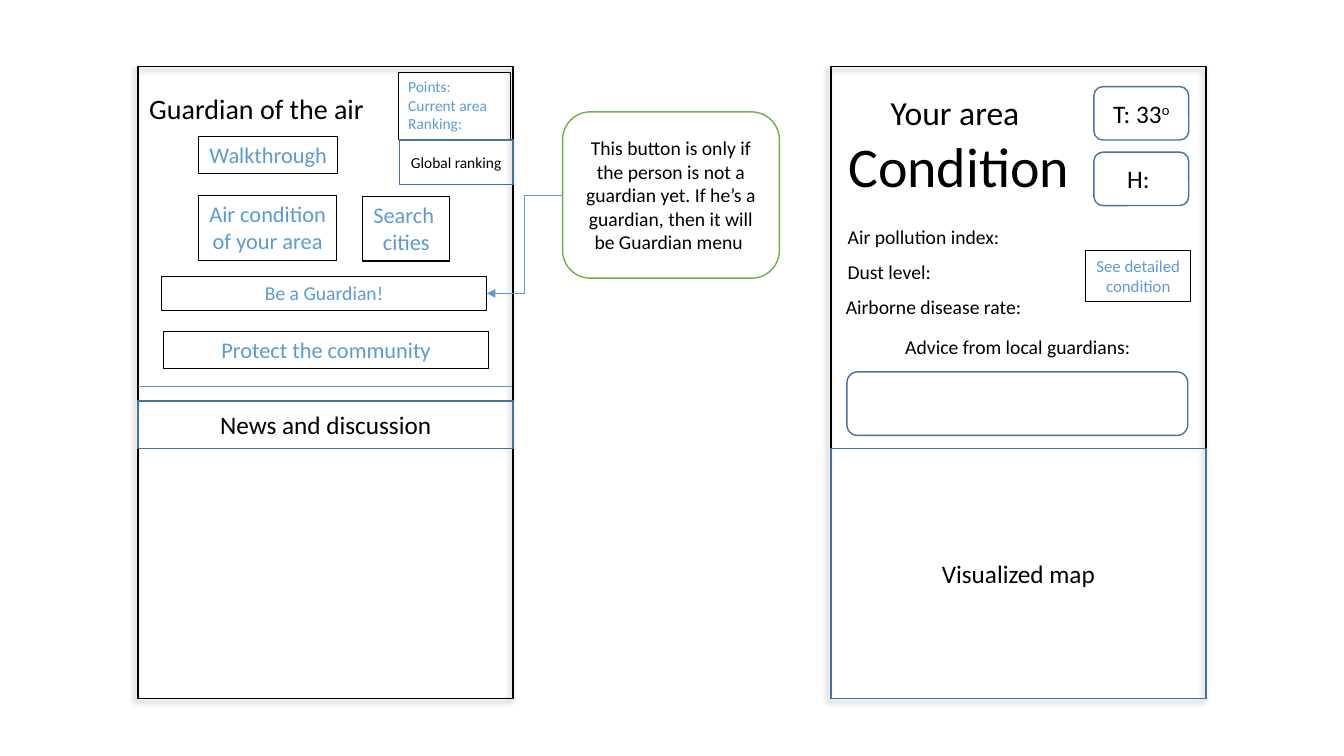
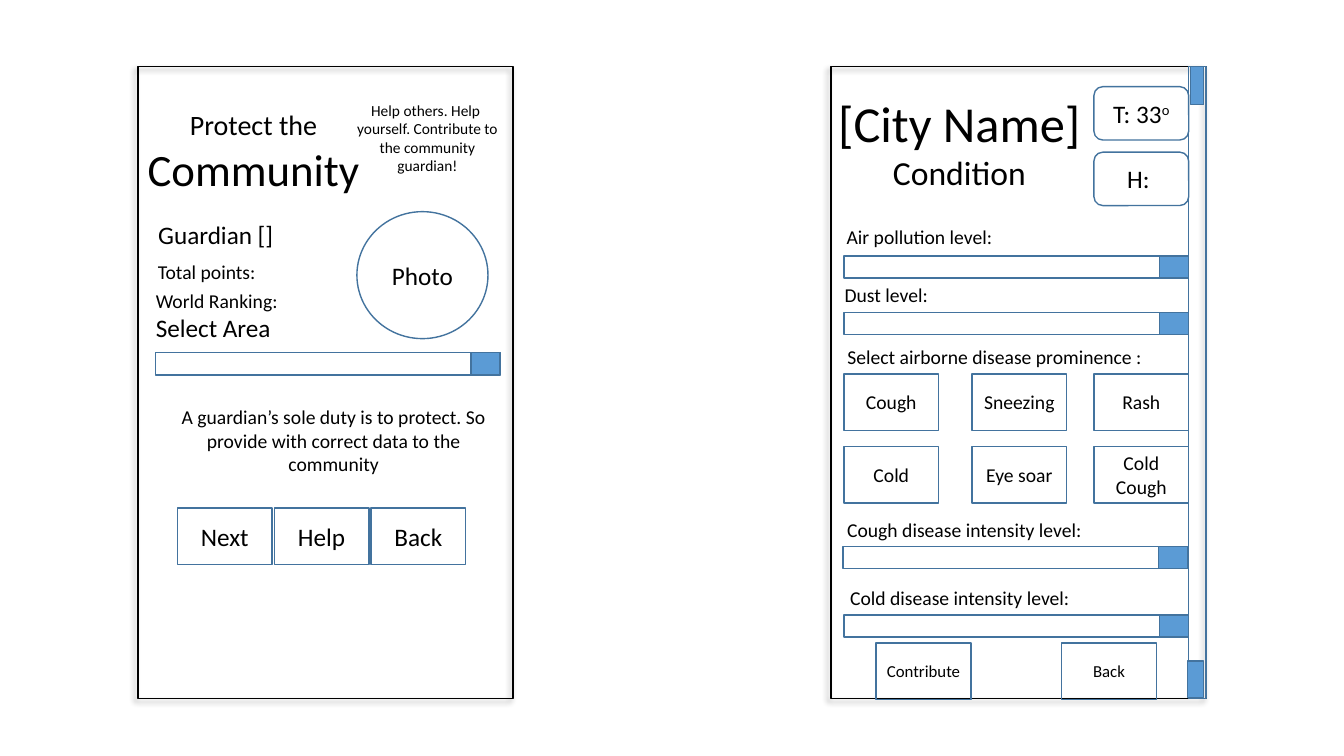
from lxml.etree import SubElement
from pptx import Presentation
from pptx.dml.color import RGBColor
from pptx.enum.shapes import MSO_CONNECTOR, MSO_SHAPE
from pptx.enum.text import MSO_ANCHOR, MSO_AUTO_SIZE, PP_ALIGN
from pptx.oxml.ns import qn
from pptx.util import Emu, Pt

PX = 9144  # EMU; 100 px make one inch
FONT = "Calibri"
COLORS = {"black": "000000", "white": "FFFFFF", "blue": "5B9BD5",
          "border": "43739E", "green": "70AD47"}

RECT, ROUND = MSO_SHAPE.RECTANGLE, MSO_SHAPE.ROUNDED_RECTANGLE
PANEL = dict(shape=RECT, line="border", color="black", middle=True)
LINK = dict(shape=RECT, line="black", width=0.75, color="blue", grow=True)
STYLES = {
    "frame": dict(shape=RECT, line="black", color="black"),
    "panel": PANEL,
    "rounded": {**PANEL, "shape": ROUND},
    "circle": {**PANEL, "shape": MSO_SHAPE.OVAL},
    "callout": {**PANEL, "shape": ROUND, "line": "green", "fill": "white"},
    "track": {**PANEL, "fill": "white"},
    "thumb": {**PANEL, "fill": "blue"},
    "link": {**LINK, "wrap": False},
    "wide link": LINK,
    "stats": {**LINK, "align": PP_ALIGN.LEFT},
    "label": dict(color="black", grow=True, wrap=False),
    "note": dict(color="black", grow=True),
}

# Items: style, (left, top, width, height), text, size (one per paragraph if a tuple)
SCREENS = [("frame", (x, 66, 372, 627)) for x in (137, 824)]
TEMPERATURE = ("rounded", (1085, 86, 94, 53), "T: 33", 18)
HUMIDITY = ("rounded", (1085, 151, 94, 53), "H: ", 18)

HOME = [
    ("link", (197, 194, 137, 64), "Air condition\nof your area", 16),
    ("link", (360, 195, 86, 64), "Search \ncities", 16),
    ("panel", (137, 398, 372, 47), "News and discussion", 18),
    ("label", (137, 86, 235, 44), "Guardian of the air", 20),
    ("wide link", (162, 329, 323, 37), "Protect the community", 16),
    ("stats", (395, 72, 111, 66), "Points:\nCurrent area\nRanking:", 11),
    ("panel", (396, 139, 113, 44), "Global ranking", 11),
    ("link", (197, 135, 138, 37), "Walkthrough", 16),
]
HOME_RULES = (383, 398)
BE_GUARDIAN = ("wide link", (160, 274, 323, 34), "Be a Guardian!", 14)
GUARDIAN_CALLOUT = (
    "callout", (558, 111, 215, 165),
    "This button is only if the person is not a guardian yet. "
    "If he’s a guardian, then it will be Guardian menu ", 14)

AREA = [
    ("label", (830, 86, 242, 118), "Your area \nCondition", (24, 40)),
    ("panel", (824, 445, 372, 248), "Visualized map", 18),
    ("label", (830, 218, 172, 34), "Air pollution index:", 14),
    ("label", (830, 253, 104, 34), "Dust level:", 14),
    ("label", (828, 288, 196, 34), "Airborne disease rate:", 14),
    ("rounded", (840, 369, 338, 63)),
    ("label", (887, 327, 245, 34), "Advice from local guardians:", 14),
    ("link", (1077, 249, 104, 50), "See detailed\ncondition", 12),
]

COMMUNITY = [
    ("label", (135, 102, 233, 98), "Protect the\nCommunity", (20, 32)),
    ("note", (339, 95, 170, 84),
     "Help others. Help \nyourself. Contribute to the community guardian!", 11),
    ("label", (146, 213, 136, 40), "Guardian []", 18),
    ("label", (146, 253, 118, 34), "Total points:", 14),
    ("label", (144, 282, 142, 34), "World Ranking:", 14),
    ("label", (144, 305, 135, 40), "Select Area", 18),
    ("circle", (354, 210, 130, 126), "Photo", 18),
    ("note", (166, 397, 330, 81),
     "A guardian’s sole duty is to protect. So\n"
     "provide with correct data to the community", 14),
]
CITY = [
    ("label", (820, 86, 263, 111), "[City Name]\nCondition", (36, 24)),
    ("label", (829, 218, 166, 34), "Air pollution level:", 14),
    ("label", (827, 276, 104, 34), "Dust level:", 14),
    ("label", (829, 337, 315, 34), "Select airborne disease prominence :", 14),
    ("label", (829, 509, 255, 34), "Cough disease intensity level:", 14),
    ("label", (832, 576, 240, 34), "Cold disease intensity level:", 14),
]
SCROLLBAR = [
    ("panel", (1179, 66, 17, 627)),
    ("thumb", (1181, 66, 13, 38)),
    ("thumb", (1178, 656, 16, 36)),
]
SLIDERS = [(154, 350), (837, 254), (837, 310), (836, 542), (837, 610)]

BUTTON_SIZE = (94, 56)
NAVIGATION = ("Next", "Help", "Back")
SYMPTOMS = (("Cough", "Sneezing", "Rash"), ("Cold", "Eye soar", "Cold Cough"))
SYMPTOM_LEFTS, SYMPTOM_TOPS = (837, 964, 1085), (371, 443)
BUTTONS = (
    [(176 + 96 * i, 504, name, 18) for i, name in enumerate(NAVIGATION)]
    + [(x, y, name, 14) for y, row in zip(SYMPTOM_TOPS, SYMPTOMS)
       for x, name in zip(SYMPTOM_LEFTS, row)]
    + [(869, 638, "Contribute", 12), (1053, 638, "Back", 12)])


def px(*values):
    return [Emu(v * PX) for v in values]


def rgb(name):
    return RGBColor.from_string(COLORS[name])


def format_run(r, size, color):
    r.font.name, r.font.size = FONT, Pt(size)
    r.font.color.rgb = rgb(color)


def add_item(shapes, style_name, box, text="", size=18):
    style = STYLES[style_name]
    if "shape" in style:
        sp = shapes.add_shape(style["shape"], *px(*box))
        sp.shadow.inherit = False
        sp.line.color.rgb = rgb(style["line"])
        sp.line.width = Pt(style.get("width", 1))
        if "fill" in style:
            sp.fill.solid()
            sp.fill.fore_color.rgb = rgb(style["fill"])
        else:
            sp.fill.background()
    else:
        sp = shapes.add_textbox(*px(*box))
    if not text:
        return sp
    tf = sp.text_frame
    tf.text = text
    tf.word_wrap = style.get("wrap", True)
    tf.vertical_anchor = MSO_ANCHOR.MIDDLE if style.get("middle") else MSO_ANCHOR.TOP
    if style.get("grow"):
        tf.auto_size = MSO_AUTO_SIZE.SHAPE_TO_FIT_TEXT
    sizes = size if isinstance(size, tuple) else [size] * len(tf.paragraphs)
    for p, paragraph_size in zip(tf.paragraphs, sizes):
        p.alignment = style.get("align", PP_ALIGN.CENTER)
        for r in p.runs:
            format_run(r, paragraph_size, style["color"])
    return sp


def add_items(s, items):
    for item in items:
        add_item(s.shapes, *item)


def add_screens(s):
    """Add the two phone screens and the gauges that both slides share."""
    for frame in SCREENS:
        sp = add_item(s.shapes, *frame)
        effects = sp._element.spPr.find(qn("a:effectLst"))
        shadow = SubElement(effects, qn("a:outerShdw"), blurRad="50800",
                            dist="38100", dir="8100000", algn="tr", rotWithShape="0")
        color = SubElement(shadow, qn("a:srgbClr"), val=COLORS["black"])
        SubElement(color, qn("a:alpha"), val="40000")
    gauge = add_item(s.shapes, *TEMPERATURE)
    degree = gauge.text_frame.paragraphs[0].add_run()
    degree.text = "o"
    format_run(degree, 18, "black")
    degree._r.get_or_add_rPr().set("baseline", "30000")
    add_item(s.shapes, *HUMIDITY)


def add_line(s, kind, start, end):
    line = s.shapes.add_connector(kind, *px(*start, *end))
    line.line.color.rgb = rgb("blue")
    line.line.width = Pt(0.5)
    SubElement(line._element.spPr, qn("a:effectLst"))
    return line


def add_slider(s, x, y):
    group = s.shapes.add_group_shape()
    add_item(group.shapes, "track", (x, y, 342, 22))
    add_item(group.shapes, "thumb", (x + 313, y, 29, 22))


def build_home(s):
    add_screens(s)
    for y in HOME_RULES:
        add_line(s, MSO_CONNECTOR.STRAIGHT, (137, y), (508, y))
    add_items(s, HOME + AREA)
    button = add_item(s.shapes, *BE_GUARDIAN)
    callout = add_item(s.shapes, *GUARDIAN_CALLOUT)
    arrow = add_line(s, MSO_CONNECTOR.ELBOW, (558, 194), (483, 291))
    arrow.begin_connect(callout, 1)
    arrow.end_connect(button, 3)
    SubElement(arrow._element.spPr.find(qn("a:ln")), qn("a:tailEnd"), type="triangle")


def build_community(s):
    add_screens(s)
    add_items(s, COMMUNITY + CITY)
    for x, y in SLIDERS:
        add_slider(s, x, y)
    for x, y, name, size in BUTTONS:
        add_item(s.shapes, "panel", (x, y, *BUTTON_SIZE), name, size)
    add_items(s, SCROLLBAR)


def main():
    prs = Presentation()
    prs.slide_width, prs.slide_height = px(1333, 750)
    blank = prs.slide_layouts[6]
    for build in (build_home, build_community):
        build(prs.slides.add_slide(blank))
    prs.save("out.pptx")


if __name__ == "__main__":
    main()
